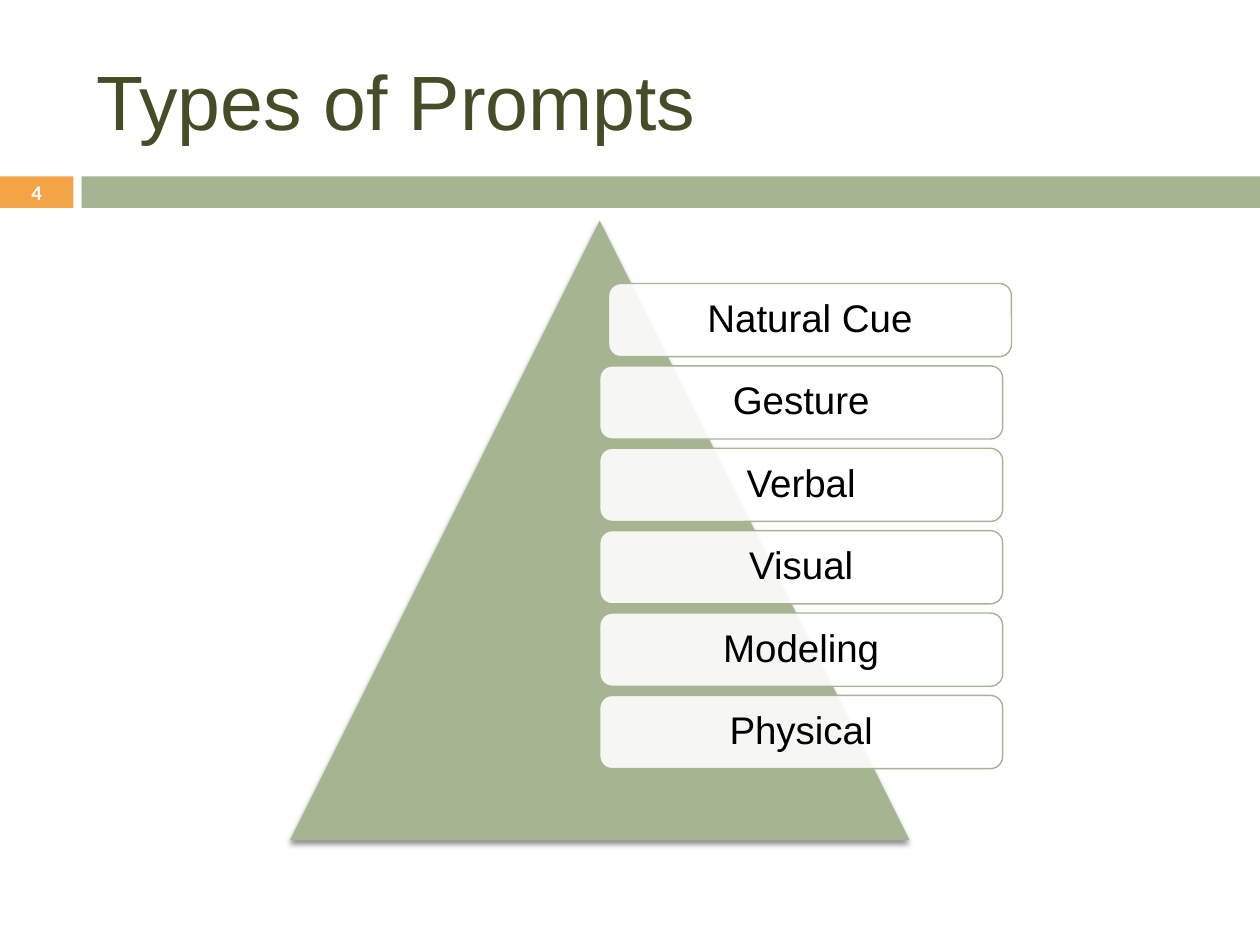
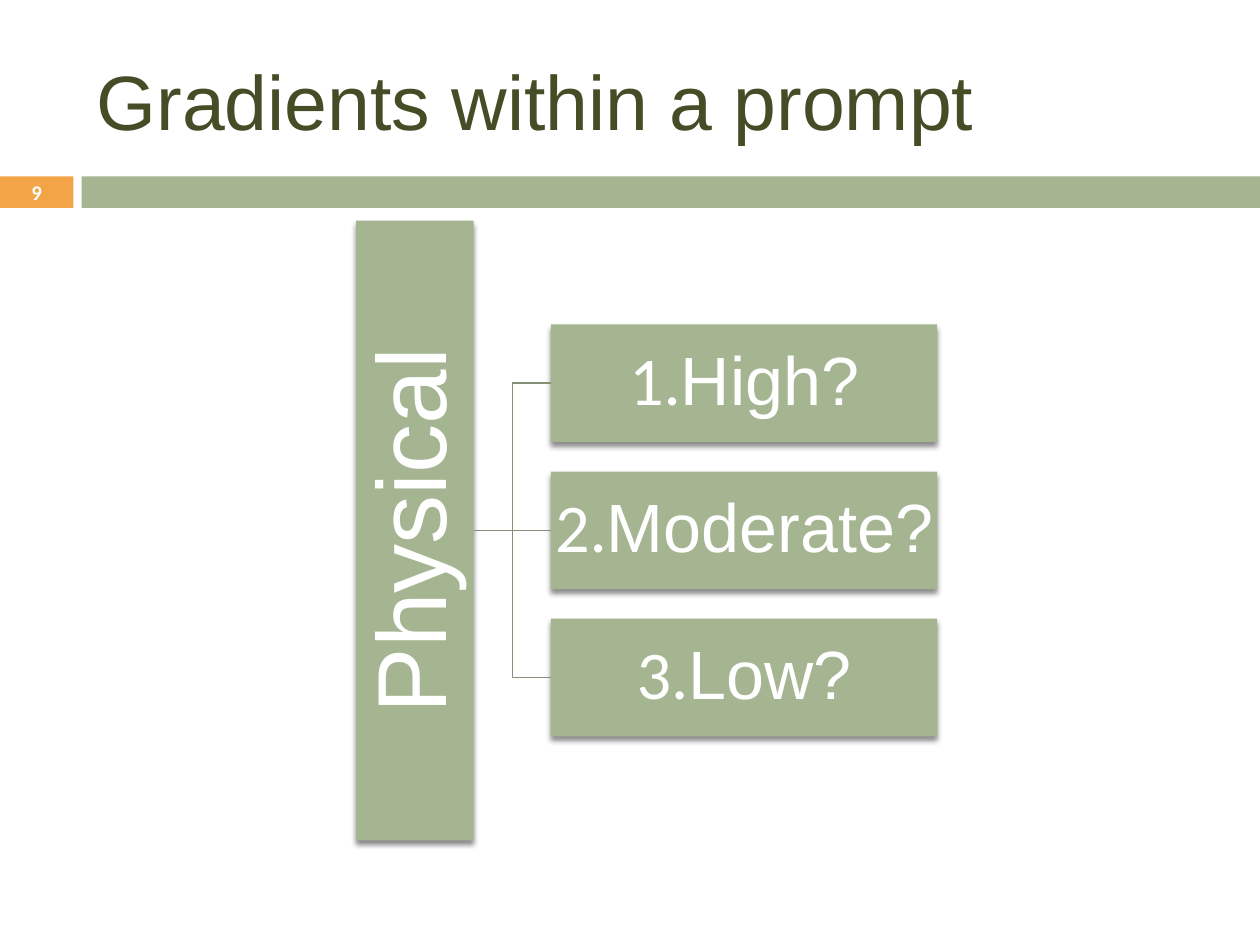
import dataclasses

import lxml.etree
import pptx
import pptx.dml.color
import pptx.enum.shapes
import pptx.enum.text
import pptx.oxml
import pptx.oxml.ns
import pptx.util

Pt = pptx.util.Pt
Shape = pptx.enum.shapes.MSO_SHAPE
Connector = pptx.enum.shapes.MSO_CONNECTOR
Align = pptx.enum.text.PP_ALIGN
Anchor = pptx.enum.text.MSO_ANCHOR
qn = pptx.oxml.ns.qn


@dataclasses.dataclass(frozen=True)
class Theme:
    green: str = "A5B592"
    orange: str = "F3A447"
    link: str = "849175"
    title: str = "444D26"
    white: str = "FFFFFF"
    black: str = "000000"
    heading_font: str = "Arial"
    body_font: str = "Calibri"
    title_size: float = 44
    trunk_size: float = 56
    branch_size: float = 39
    pill_size: float = 22
    number_size: float = 11.9
    thin_line: float = 0.79


@dataclasses.dataclass(frozen=True)
class Box:
    left: float
    top: float
    width: float
    height: float

    def lengths(self):
        return [Pt(value) for value in dataclasses.astuple(self)]


THEME = Theme()
PAGE = Box(0, 0, 720, 540)
TITLE = Box(48, 18, 642, 78)
BAND = Box(0, 100.8, 720, 18)
PYRAMID = Box(165.6, 126, 354.24, 354.24)
TREE = Box(203.4, 126, 332.2, 354.24)


def rgb(value):
    return pptx.dml.color.RGBColor.from_string(value)


def add_block(page, kind, box, fill, line=None):
    block = page.shapes.add_shape(kind, *box.lengths())
    block.shadow.inherit = False
    block.fill.solid()
    block.fill.fore_color.rgb = rgb(fill)
    if line:
        block.line.color.rgb = rgb(line)
        block.line.width = Pt(THEME.thin_line)
    else:
        block.line.fill.background()
    return block


def add_drop_shadow(block):
    effects = block._element.spPr.find(qn("a:effectLst"))
    effects.append(pptx.oxml.parse_xml(
        f'<a:outerShdw {pptx.oxml.ns.nsdecls("a")} blurRad="{Pt(3)}" dist="{Pt(2.4)}"'
        ' dir="5400000" algn="ctr" rotWithShape="0">'
        f'<a:srgbClr val="{THEME.black}"><a:alpha val="45000"/></a:srgbClr></a:outerShdw>'))


def set_opacity(block, percent):
    colour = block._element.spPr.find(qn("a:solidFill"))[0]
    lxml.etree.SubElement(colour, qn("a:alpha"), val=str(percent * 1000))


def write(block, spans, size, colour, spacing=0.9, bold=False):
    """Centre one line in the block; spans are (text, font name) pairs."""
    frame = block.text_frame
    frame.word_wrap = False
    frame.vertical_anchor = Anchor.MIDDLE
    frame.margin_left = frame.margin_right = frame.margin_top = frame.margin_bottom = 0
    para = frame.paragraphs[0]
    para.alignment = Align.CENTER
    para.line_spacing = spacing
    para.font.size = Pt(size)
    para.font.bold = bold
    para.font.color.rgb = rgb(colour)
    for text, font_name in spans:
        span = para.add_run()
        span.text = text
        if len(spans) == 1:
            para.font.name = font_name
        else:
            span.font.name = font_name


def add_title(page, box, text):
    title = page.shapes.title
    title.left, title.top, title.width, title.height = box.lengths()
    frame = title.text_frame
    frame.text = text
    frame.auto_size = pptx.enum.text.MSO_AUTO_SIZE.NONE
    frame.vertical_anchor = Anchor.MIDDLE
    para = frame.paragraphs[0]
    para.alignment = Align.LEFT
    para.font.name = THEME.heading_font
    para.font.size = Pt(THEME.title_size)
    para.font.color.rgb = rgb(THEME.title)


def add_band(page, box, number):
    number_width, gap = 42, 4.6
    number_box = dataclasses.replace(box, width=number_width)
    stripe_start = number_width + gap
    stripe_box = dataclasses.replace(
        box, left=box.left + stripe_start, width=box.width - stripe_start)
    tab = add_block(page, Shape.RECTANGLE, number_box, THEME.orange)
    write(tab, [(str(number), THEME.body_font)], THEME.number_size, THEME.white,
          spacing=1, bold=True)
    add_block(page, Shape.RECTANGLE, stripe_box, THEME.green)


def add_page(deck, title, number):
    page = deck.slides.add_slide(deck.slide_layouts.get_by_name("Title Only"))
    add_band(page, BAND, number)
    add_title(page, TITLE, title)
    return page


def add_pyramid(page, box, labels):
    add_drop_shadow(add_block(page, Shape.ISOSCELES_TRIANGLE, box, THEME.green))
    pill_height = 41.85
    pitch = pill_height * 9 / 8
    for index, spans in enumerate(labels):
        nudge = 5 if index == 0 else 0
        pill_box = Box(box.left + box.width / 2 + nudge, box.top + 36 + index * pitch,
                       box.width * 0.65, pill_height)
        pill = add_block(page, Shape.ROUNDED_RECTANGLE, pill_box, THEME.white, THEME.green)
        set_opacity(pill, 90)
        write(pill, spans, THEME.pill_size, THEME.black)


def add_link(page, trunk, branch, kind):
    link = page.shapes.add_connector(kind, 0, 0, 0, 0)
    link.begin_connect(trunk, 3)
    link.end_connect(branch, 1)
    link.line.color.rgb = rgb(THEME.link)
    link.line.width = Pt(THEME.thin_line)
    lxml.etree.SubElement(link._element.spPr, qn("a:effectLst"))


def add_tree(page, box, root, levels):
    """Draw an upright trunk on the left and a numbered branch for each level."""
    thickness = box.height * 0.19
    branch_width = thickness * 3.28
    pitch = thickness * 1.25
    trunk = add_block(page, Shape.RECTANGLE,
                      dataclasses.replace(box, width=thickness), THEME.green)
    add_drop_shadow(trunk)
    write(trunk, [(root, THEME.heading_font)], THEME.trunk_size, THEME.white)
    trunk.text_frame._txBody.bodyPr.set("vert", "vert270")

    middle = (len(levels) - 1) / 2
    for index, level in enumerate(levels):
        centre = box.top + box.height / 2 + (index - middle) * pitch
        branch_box = Box(box.left + box.width - branch_width, centre - thickness / 2,
                         branch_width, thickness)
        branch = add_block(page, Shape.RECTANGLE, branch_box, THEME.green)
        add_drop_shadow(branch)
        write(branch, [(f"{index + 1}.", THEME.body_font), (level, THEME.heading_font)],
              THEME.branch_size, THEME.white)
        add_link(page, trunk, branch,
                 Connector.STRAIGHT if index == middle else Connector.ELBOW)


def main():
    deck = pptx.Presentation()
    deck.slide_width, deck.slide_height = Pt(PAGE.width), Pt(PAGE.height)

    prompts = [[(name, THEME.heading_font)] for name in
               ("Natural Cue", "Gesture", "Verbal", "Visual", "Modeling")]
    prompts.append([("Physica", THEME.heading_font), ("l", THEME.body_font)])
    add_pyramid(add_page(deck, "Types of Prompts", 4), PYRAMID, prompts)

    add_tree(add_page(deck, "Gradients within a prompt", 9), TREE,
             "Physical", ["High?", "Moderate?", "Low?"])
    deck.save("out.pptx")


if __name__ == "__main__":
    main()
